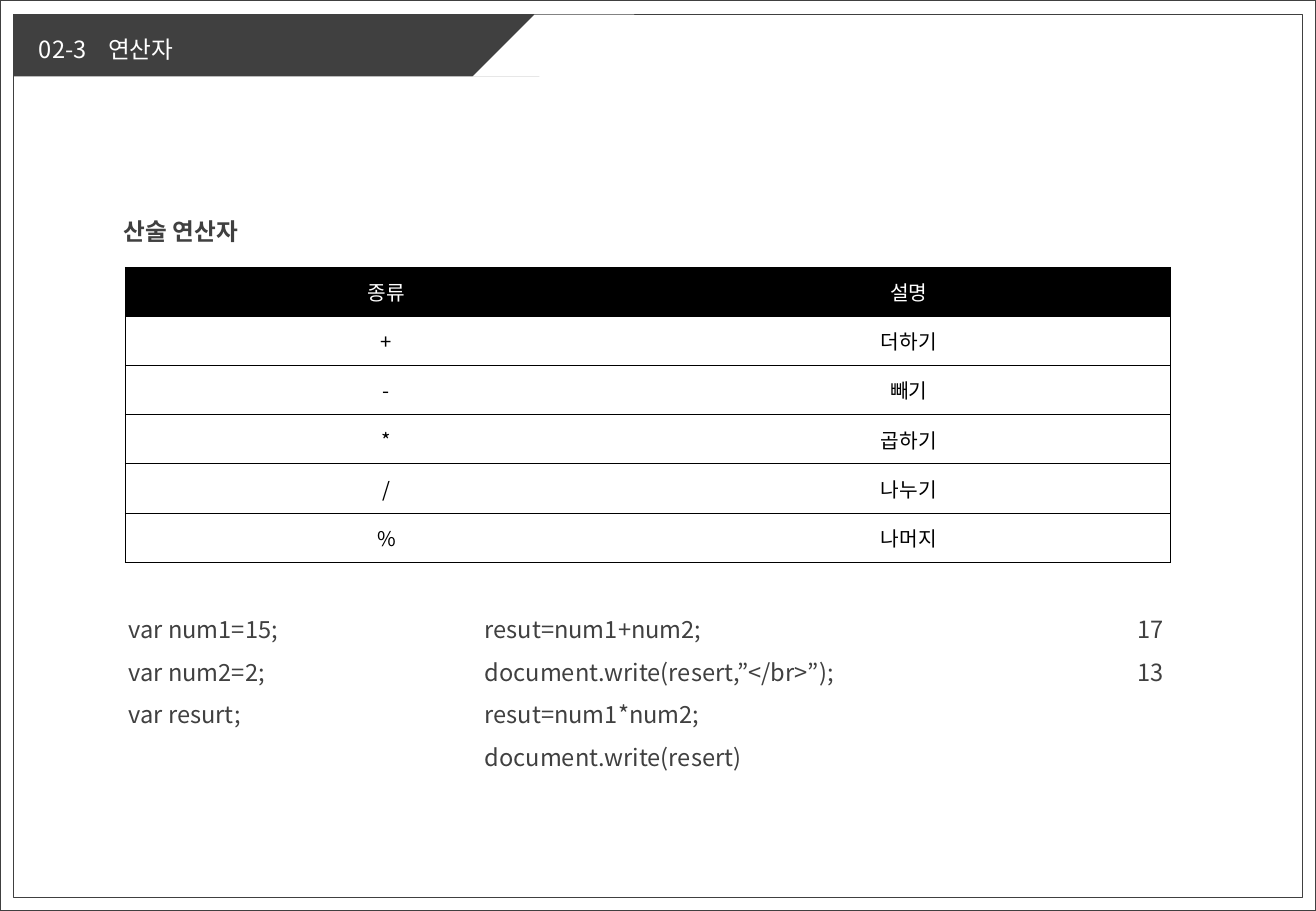
from lxml import etree as et
from pptx import Presentation
from pptx import util as u
from pptx.dml.color import RGBColor
from pptx.enum import shapes, text
from pptx.oxml.ns import qn

FACE = "Noto Sans CJK KR"
DARK, WHITE, BLACK = "404040", "FFFFFF", "000000"
KINDS = shapes.MSO_SHAPE
LEFT, MID = text.PP_ALIGN.LEFT, text.PP_ALIGN.CENTER


def hue(code):
    """Turn a hex string into a colour."""
    return RGBColor.from_string(code)


def put(item, style):
    """Set each attribute that the style names."""
    for key, val in style.items():
        setattr(item, key, val)


class Deck:
    """Hold the style and slide on a grid of 108.3 columns by 75 rows."""

    cell = u.Inches(0.1)
    frame = dict(word_wrap=True, vertical_anchor=text.MSO_ANCHOR.TOP,
                 auto_size=text.MSO_AUTO_SIZE.SHAPE_TO_FIT_TEXT,
                 margin_left=u.Inches(0.1), margin_right=u.Inches(0.1),
                 margin_top=u.Inches(0.05), margin_bottom=u.Inches(0.05))

    def __init__(self):
        """Open a title-only slide."""
        self.show = Presentation()
        put(self.show, dict(slide_width=self.span(108.3),
                            slide_height=self.span(75)))
        self.slide = self.show.slides.add_slide(self.show.slide_layouts[5])
        self.items = self.slide.shapes

    def span(self, count):
        """Turn a count of grid units into a length."""
        return u.Emu(round(count * self.cell))

    def box(self, *grid):
        """Turn left, top, width and height into lengths."""
        return [self.span(unit) for unit in grid]

    def shape(self, kind, grid, fill, line=None):
        """Add a flat preset shape."""
        item = self.items.add_shape(kind, *self.box(*grid))
        item.shadow.inherit = False
        item.fill.solid()
        item.fill.fore_color.rgb = hue(fill)
        if line:
            item.line.color.rgb = hue(line)
            item.line.width = u.Pt(1)
        else:
            item.line.fill.background()
        return item

    def phrase(self, para, words, color, size=14, bold=False, align=LEFT, lead=1.5):
        """Fill a paragraph with one styled run."""
        put(para, dict(alignment=align, line_spacing=lead))
        run = para.add_run()
        run.text = words
        put(run.font, dict(name=FACE, size=u.Pt(size), bold=bold))
        run.font.color.rgb = hue(color)
        et.SubElement(run._r.get_or_add_rPr(), qn("a:ea"), typeface=FACE)

    def title(self, grid, words, stop):
        """Place the title in front, with a tab stop after its number."""
        item = self.items.title
        put(item, dict(zip(("left", "top", "width", "height"), self.box(*grid))))
        put(item.text_frame, self.frame)
        para = item.text_frame.paragraphs[0]
        self.phrase(para, words, WHITE)
        tabs = et.SubElement(para._p.get_or_add_pPr(), qn("a:tabLst"))
        et.SubElement(tabs, qn("a:tab"), pos=str(self.span(stop)), algn="l")
        self.items.element.append(item.element)

    def text(self, grid, lines, bold=False):
        """Add a text box with one paragraph for each line."""
        body = self.items.add_textbox(*self.box(*grid)).text_frame
        put(body, self.frame)
        for i, words in enumerate(lines):
            para = body.add_paragraph() if i else body.paragraphs[0]
            self.phrase(para, words, DARK, bold=bold)

    def edge(self, cell, side, seen):
        """Draw or hide one border of a cell."""
        line = et.SubElement(cell._tc.get_or_add_tcPr(), qn("a:ln" + side),
                             w=str(u.Pt(0.5)))
        fill = et.SubElement(line, qn("a:solidFill" if seen else "a:noFill"))
        if seen:
            et.SubElement(fill, qn("a:srgbClr"), val=BLACK)

    def table(self, grid, rows):
        """Add a ruled table with a black head row."""
        wide = len(rows[0])
        grid = self.items.add_table(len(rows), wide, *self.box(*grid)).table
        put(grid, dict(first_row=False, horz_banding=False))
        for r, row in enumerate(rows):
            for c, words in enumerate(row):
                cell = grid.cell(r, c)
                seen = dict(L=c == 0, R=c == wide - 1, T=True, B=True)
                for side, on in seen.items():
                    self.edge(cell, side, on)
                cell.fill.solid()
                cell.fill.fore_color.rgb = hue(WHITE if r else BLACK)
                cell.vertical_anchor = text.MSO_ANCHOR.MIDDLE
                self.phrase(cell.text_frame.paragraphs[0], words,
                            BLACK if r else WHITE, 12, align=MID, lead=1.0)


def main():
    """Build the operator slide."""
    deck = Deck()
    deck.shape(KINDS.RECTANGLE, (0, 0, 108.3, 75), WHITE, DARK)
    deck.shape(KINDS.RECTANGLE, (1.1, 1.2, 106.1, 72.7), WHITE, DARK)
    deck.shape(KINDS.RECTANGLE, (1.1, 1.2, 43.3, 5.1), DARK)
    slant = deck.shape(KINDS.PARALLELOGRAM, (38.9, 1.2, 13.3, 5.1), WHITE)
    slant.adjustments[0] = 1.0
    deck.title((2.2, 1.2, 32.1, 4.5), "02-3\t연산자", 5.7)

    deck.text((9.2, 16.2, 80.9, 4.1), ["산술 연산자"], bold=True)
    deck.table((10.3, 22, 86, 24.3), [
        ("종류", "설명"), ("+", "더하기"), ("-", "빼기"),
        ("*", "곱하기"), ("/", "나누기"), ("%", "나머지")])

    code = [
        (9.6, 20.7, ["var num1=15;", "var num2=2;", "var resurt;"]),
        (38.9, 38.7, ["resut=num1+num2;", "document.write(resert,”</br>”);",
                      "resut=num1*num2;", "document.write(resert)"]),
        (92.6, 12.9, ["17", "13"])]
    for left, wide, lines in code:
        deck.text((left, 49, wide, 1 + 3.5 * len(lines)), lines)
    deck.show.save("out.pptx")


if __name__ == "__main__":
    main()
